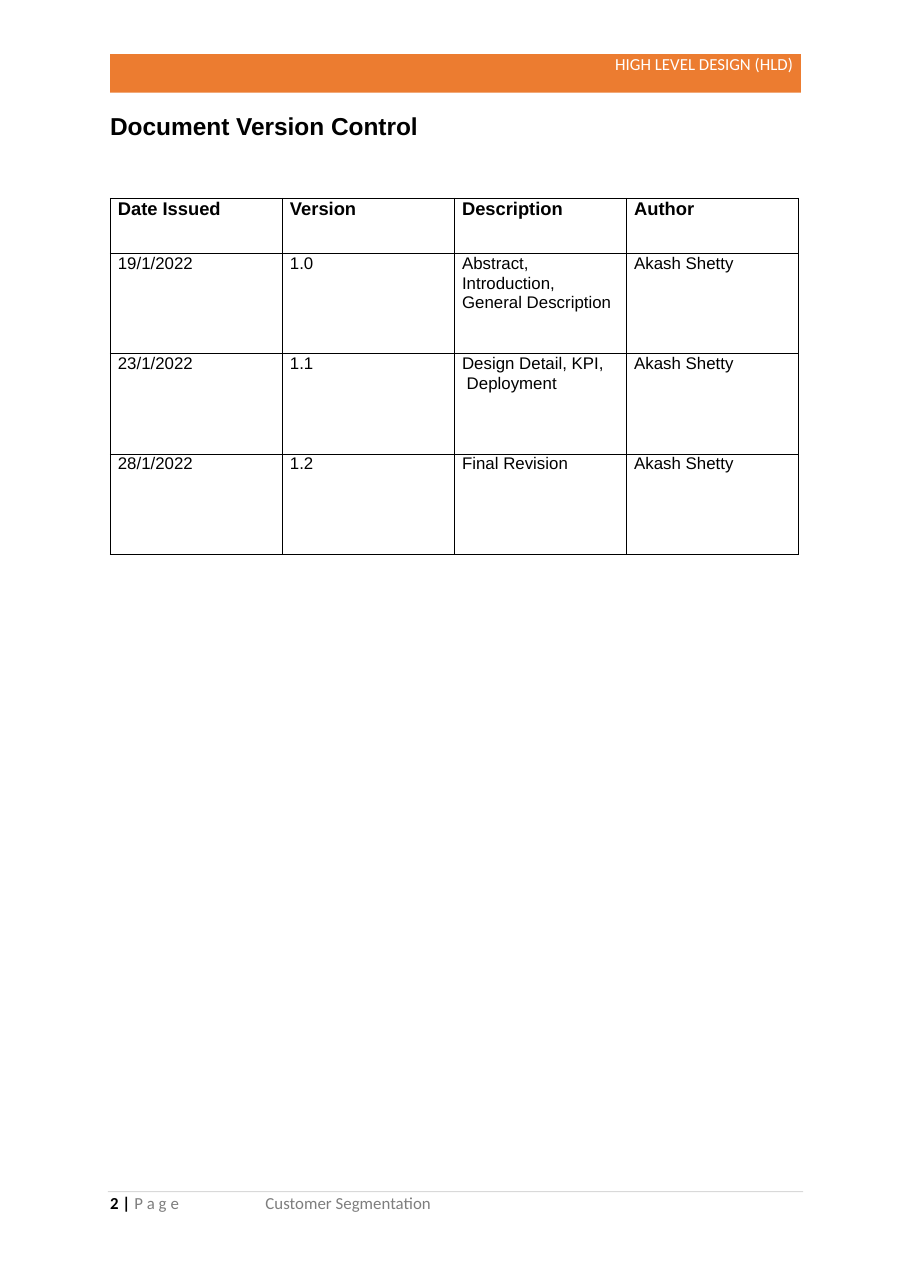
from dataclasses import dataclass

from lxml import etree
from pptx import Presentation
from pptx import util as u
from pptx.dml.color import RGBColor
from pptx.enum import shapes, text
from pptx.oxml.ns import qn


@dataclass(frozen=True)
class Theme:
    orange: str = "EC7C30"
    white: str = "FFFFFF"
    black: str = "000000"
    grey: str = "7E7E7E"
    rule_grey: str = "D9D9D9"
    heading_font: str = "Arial"
    furniture_font: str = "Calibri"
    title_size: float = 16
    header_size: float = 12
    body_size: float = 11
    border_width: float = 0.5


@dataclass(frozen=True)
class Style:
    font: str
    size: float
    color: str
    bold: bool = False
    line: float | None = None  # points
    before: float = 0  # points


@dataclass(frozen=True)
class Box:
    left: float
    top: float
    width: float
    height: float

    def emu(self) -> tuple:
        return tuple(u.Inches(v) for v in (self.left, self.top, self.width, self.height))


@dataclass(frozen=True)
class Label:
    box: Box
    wording: str
    style: Style
    indent: float = 0.01
    inset_top: float = 0


@dataclass(frozen=True)
class Revision:
    date: str
    version: str
    description: tuple[str, ...]
    author: str = "Akash Shetty"


THEME = Theme()
BANNER = Style(THEME.furniture_font, THEME.body_size, THEME.white, before=5.2)
TITLE = Style(THEME.heading_font, THEME.title_size, THEME.black, bold=True, before=0.9)
FOOTER = Style(THEME.furniture_font, THEME.body_size, THEME.grey, line=11.5)
HEADER = Style(THEME.heading_font, THEME.header_size, THEME.black, bold=True, line=13.9)
BODY = Style(THEME.heading_font, THEME.body_size, THEME.black, line=12.8)

HEADINGS = ("Date Issued", "Version", "Description", "Author")
REVISIONS = (
    Revision("19/1/2022", "1.0", ("Abstract,", "Introduction,", "General Description")),
    Revision("23/1/2022", "1.1", ("Design Detail, KPI,", " Deployment")),
    Revision("28/1/2022", "1.2", ("Final Revision",)),
)
LABELS = (
    Label(Box(0.99, 1, 2.84, 0.29), "Document Version Control", TITLE, inset_top=0.01),
    Label(Box(2.4, 10.85, 3.43, 0.17), "Customer Segmentation", FOOTER),
)
PAGE_NUMBER = Label(Box(0.96, 10.85, 0.76, 0.17), "2 | ", FOOTER, indent=0.04)
TABLE_BOX = Box(1, 1.8, 6.25, 3.23)
HEADER_HEIGHT, ROW_HEIGHT = 0.5, 0.91
CELL_INDENT = 0.07


def style_paragraph(paragraph, style: Style) -> None:
    font = paragraph.font
    font.name, font.size, font.bold = style.font, u.Pt(style.size), style.bold
    font.color.rgb = RGBColor.from_string(style.color)
    paragraph.space_before = u.Pt(style.before)
    if style.line:
        paragraph.line_spacing = u.Pt(style.line)


def set_insets(frame, left: float = 0, top: float = 0, right: float = 0) -> None:
    frame.margin_left, frame.margin_top = u.Inches(left), u.Inches(top)
    frame.margin_right, frame.margin_bottom = u.Inches(right), 0


def add_block(slide, box: Box, color: str):
    block = slide.shapes.add_shape(shapes.MSO_SHAPE.RECTANGLE, *box.emu())
    block.shadow.inherit = False
    block.fill.solid()
    block.fill.fore_color.rgb = RGBColor.from_string(color)
    block.line.fill.background()
    return block


def add_label(slide, label: Label):
    frame = slide.shapes.add_textbox(*label.box.emu()).text_frame
    frame.word_wrap = True
    set_insets(frame, left=label.indent, top=label.inset_top)
    paragraph = frame.paragraphs[0]
    paragraph.add_run().text = label.wording
    style_paragraph(paragraph, label.style)
    return paragraph


def add_borders(cell) -> None:
    properties = cell._tc.get_or_add_tcPr()
    for index, side in enumerate(("a:lnL", "a:lnR", "a:lnT", "a:lnB")):
        border = etree.Element(qn(side), w=str(u.Pt(THEME.border_width)))
        fill = etree.SubElement(border, qn("a:solidFill"))
        etree.SubElement(fill, qn("a:srgbClr"), val=THEME.black)
        properties.insert(index, border)


def fill_cell(cell, lines: tuple[str, ...], style: Style) -> None:
    set_insets(cell, left=CELL_INDENT)
    cell.fill.background()
    add_borders(cell)
    paragraph = cell.text_frame.paragraphs[0]
    for index, line in enumerate(lines):
        if index:
            paragraph.add_line_break()
        paragraph.add_run().text = line
    style_paragraph(paragraph, style)


def add_version_table(slide) -> None:
    rows = [tuple((heading,) for heading in HEADINGS)]
    rows += [((r.date,), (r.version,), r.description, (r.author,)) for r in REVISIONS]
    table = slide.shapes.add_table(len(rows), len(HEADINGS), *TABLE_BOX.emu()).table
    table.first_row = table.horz_banding = False
    for column in table.columns:
        column.width = u.Inches(TABLE_BOX.width / len(HEADINGS))
    for row_index, row in enumerate(rows):
        is_header = row_index == 0
        table.rows[row_index].height = u.Inches(HEADER_HEIGHT if is_header else ROW_HEIGHT)
        for column_index, lines in enumerate(row):
            fill_cell(table.cell(row_index, column_index), lines, HEADER if is_header else BODY)


def main() -> None:
    deck = Presentation()
    deck.slide_width, deck.slide_height = u.Inches(8.26), u.Inches(11.69)
    slide = deck.slides.add_slide(deck.slide_layouts[6])

    # Header banner
    banner = add_block(slide, Box(1, 0.49, 6.27, 0.35), THEME.orange).text_frame
    set_insets(banner, right=0.07)
    banner.vertical_anchor = text.MSO_ANCHOR.TOP
    heading = banner.paragraphs[0]
    heading.add_run().text = "HIGH LEVEL DESIGN (HLD)"
    heading.alignment = text.PP_ALIGN.RIGHT
    style_paragraph(heading, BANNER)

    # Footer rule, title and document name
    add_block(slide, Box(0.98, 10.81, 6.31, 0.01), THEME.rule_grey)
    for label in LABELS:
        add_label(slide, label)

    # Page number
    page = add_label(slide, PAGE_NUMBER)
    number = page.runs[0].font
    number.bold = True
    number.color.rgb = RGBColor.from_string(THEME.black)
    page.add_run().text = "P a g e"

    # Version history
    add_version_table(slide)

    deck.save("out.pptx")


if __name__ == "__main__":
    main()
